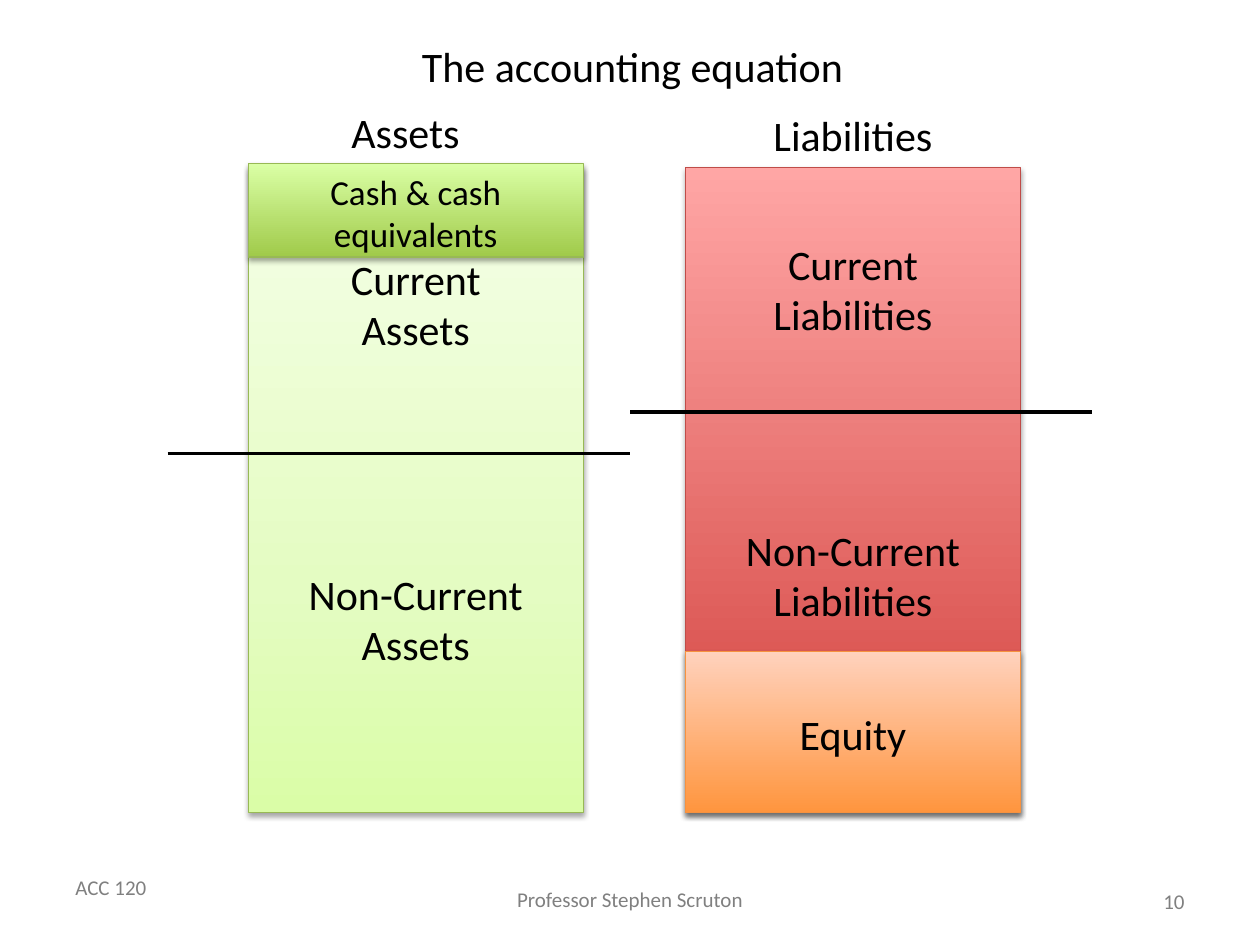
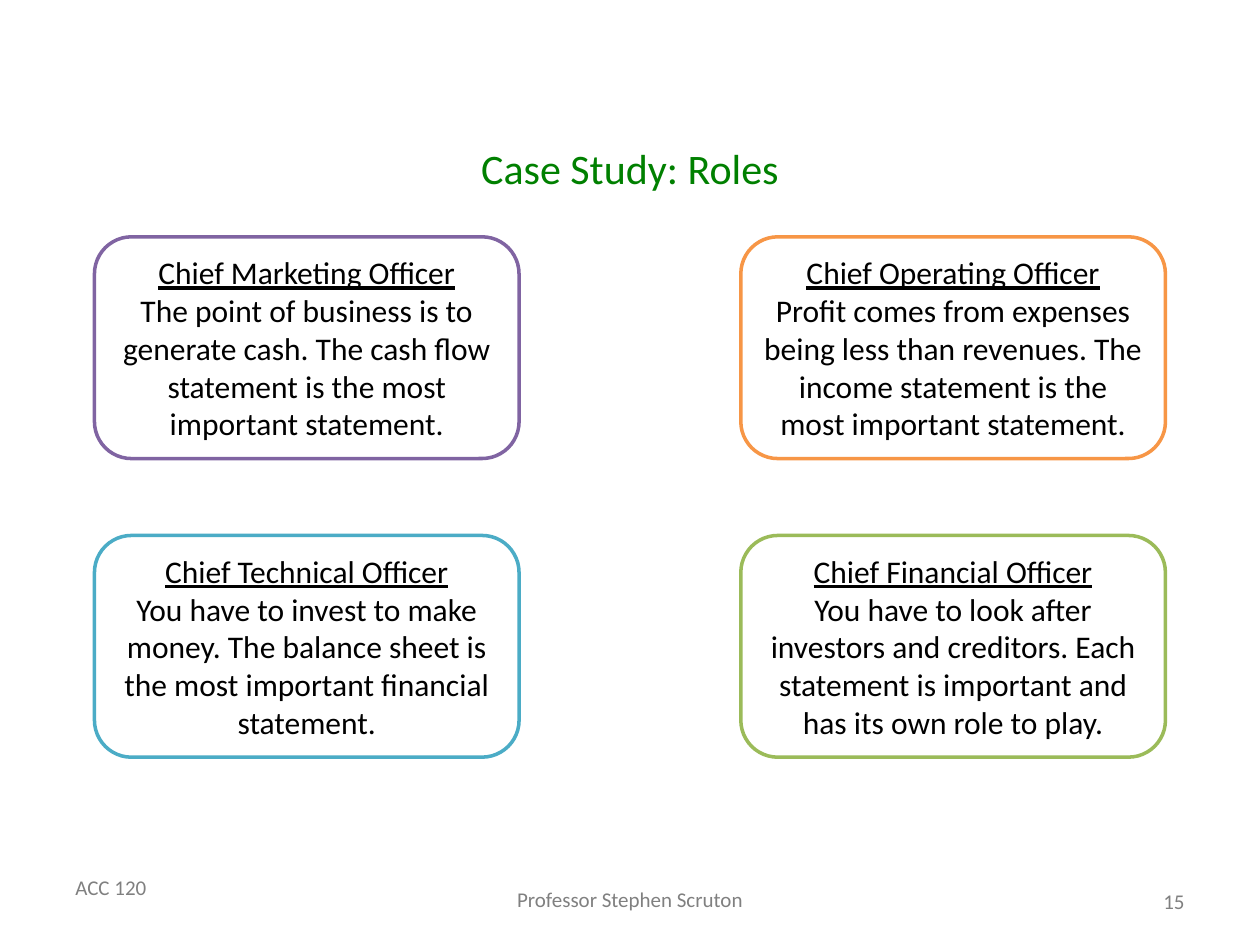
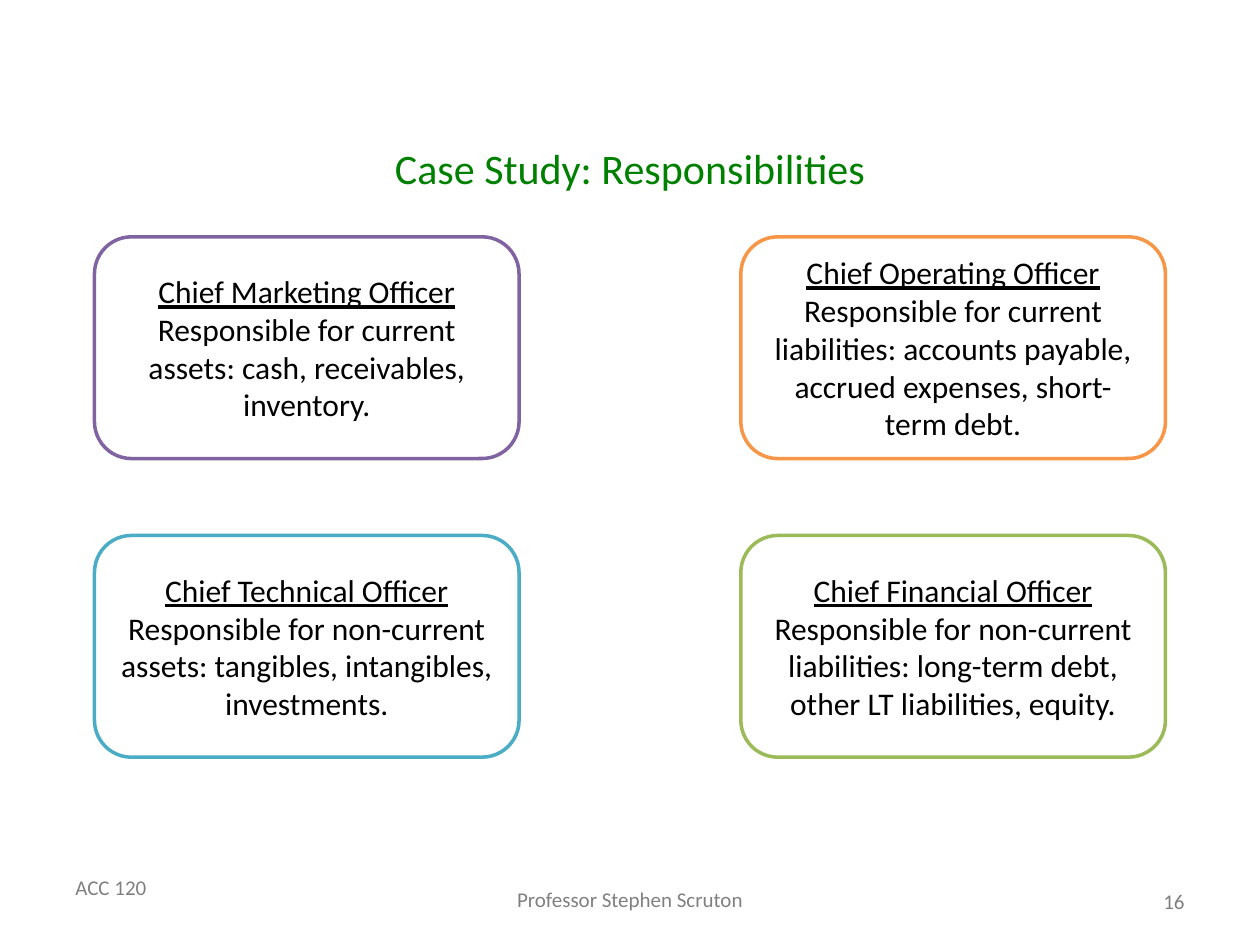
from lxml import etree
from pptx import Presentation
from pptx import util as u
from pptx.dml.color import RGBColor
from pptx.enum import shapes, text
from pptx.oxml import parse_xml
from pptx.oxml.ns import nsdecls, qn

PX = 9144  # 100 px to the inch
FONT = "Calibri"
BLACK = RGBColor(0x00, 0x00, 0x00)
WHITE = RGBColor(0xFF, 0xFF, 0xFF)
GREY = RGBColor(0x80, 0x80, 0x80)
TITLE_GREEN = RGBColor(0x00, 0x80, 0x00)
GREEN_EDGE = RGBColor(0x98, 0xB9, 0x55)
RED_EDGE = RGBColor(0xBF, 0x4C, 0x48)
ORANGE_EDGE = RGBColor(0xF6, 0x92, 0x40)
PURPLE = RGBColor(0x80, 0x64, 0xA2)
TEAL = RGBColor(0x4B, 0xAC, 0xC6)
ORANGE = RGBColor(0xF7, 0x96, 0x46)
GREEN = RGBColor(0x9B, 0xBB, 0x59)
# Gradient stops run from the bottom of the block to its top
PALE_GREENS = [(0, RGBColor(0xDA, 0xFD, 0xA7)), (35, RGBColor(0xE4, 0xFC, 0xC2)),
               (100, RGBColor(0xF5, 0xFF, 0xE7))]
GREENS = [(0, RGBColor(0xA0, 0xCA, 0x4A)), (100, RGBColor(0xDA, 0xFF, 0xA5))]
REDS = [(0, RGBColor(0xD1, 0x40, 0x3C)), (100, RGBColor(0xFF, 0xA6, 0xA5))]
ORANGES = [(0, RGBColor(0xFF, 0x95, 0x3E)), (100, RGBColor(0xFF, 0xD2, 0xBD))]

LEFT, CENTER, RIGHT = text.PP_ALIGN.LEFT, text.PP_ALIGN.CENTER, text.PP_ALIGN.RIGHT
TOP, MIDDLE = text.MSO_ANCHOR.TOP, text.MSO_ANCHOR.MIDDLE

presentation = Presentation()
presentation.slide_width = 1000 * PX
presentation.slide_height = 750 * PX


def write(shape, lines, size=24, color=BLACK, align=CENTER, anchor=MIDDLE, wrap=True):
    frame = shape.text_frame
    frame.text = "\n".join(lines)
    frame.word_wrap = wrap
    frame.vertical_anchor = anchor
    if not wrap:
        frame.auto_size = text.MSO_AUTO_SIZE.SHAPE_TO_FIT_TEXT
    for paragraph in frame.paragraphs:
        paragraph.alignment = align
        font = paragraph.runs[0].font
        font.name, font.size = FONT, u.Pt(size)
        font.color.rgb = color


def add_text(slide, box, lines, **style):
    write(slide.shapes.add_textbox(*[n * PX for n in box]), lines, **style)


# Slides with their shared footers
slides = []
for number in ("10", "15", "16"):
    slide = presentation.slides.add_slide(presentation.slide_layouts[6])
    footer = dict(size=12, color=GREY)
    add_text(slide, (50, 689, 77, 30), ["ACC 120"], align=LEFT, anchor=TOP, wrap=False, **footer)
    add_text(slide, (399, 699, 202, 30), ["Professor Stephen Scruton"], anchor=TOP, wrap=False,
             **footer)
    add_text(slide, (717, 695, 233, 40), [number], align=RIGHT, **footer)
    slides.append(slide)

# The accounting equation: blocks
slide = slides[0]
add_text(slide, (77, 17, 850, 70), ["The accounting equation"])
ASSETS_X, LIABILITIES_X, COLUMN_W = 197, 544, 266
blocks = [
    (LIABILITIES_X, 133, 512, REDS, RED_EDGE),
    (ASSETS_X, 133, 512, PALE_GREENS, GREEN_EDGE),
    (LIABILITIES_X, 517, 128, ORANGES, ORANGE_EDGE),
    (ASSETS_X, 130, 74, GREENS, GREEN_EDGE),
]
for x, y, height, stops, edge in blocks:
    block = slide.shapes.add_shape(shapes.MSO_SHAPE.RECTANGLE,
                                   x * PX, y * PX, COLUMN_W * PX, height * PX)
    block.line.color.rgb = edge
    block.line.width = u.Pt(0.75)
    block.fill.gradient()
    block.fill.gradient_angle = 90
    stop_list = block._element.spPr.find(".//" + qn("a:gsLst"))
    for stop in list(stop_list):
        stop_list.remove(stop)
    for position, color in stops:
        stop = etree.SubElement(stop_list, qn("a:gs"), pos=str(position * 1000))
        etree.SubElement(stop, qn("a:srgbClr"), val=str(color))
    block.shadow.inherit = False
    block._element.spPr.find(qn("a:effectLst")).append(parse_xml(
        f'<a:outerShdw {nsdecls("a")} blurRad="40000" dist="23000" dir="5400000" '
        'rotWithShape="0"><a:srgbClr val="000000"><a:alpha val="35000"/></a:srgbClr>'
        '</a:outerShdw>'))

# Dividers between current and non-current
for x, y in ((133, 360), (500, 327)):
    divider = slide.shapes.add_connector(shapes.MSO_CONNECTOR.STRAIGHT,
                                         x * PX, y * PX, (x + 367) * PX, y * PX)
    divider.line.color.rgb = BLACK
    divider.line.width = u.Pt(2)
    etree.SubElement(divider._element.spPr, qn("a:effectLst"))

# Block labels and column headings
labels = [
    (ASSETS_X, 206, ["Current", "Assets"]),
    (ASSETS_X, 456, ["Non-Current", "Assets"]),
    (LIABILITIES_X, 194, ["Current", "Liabilities"]),
    (LIABILITIES_X, 421, ["Non-Current", "Liabilities"]),
    (LIABILITIES_X, 547, ["Equity"]),
    (LIABILITIES_X, 72, ["Liabilities"]),
]
for x, y, lines in labels:
    add_text(slide, (x, y, COLUMN_W, 70), lines)
add_text(slide, (ASSETS_X, 134, COLUMN_W, 70), ["Cash & cash equivalents"], size=20)
add_text(slide, (269, 80, 107, 50), ["Assets"], align=LEFT, anchor=TOP, wrap=False)

# Case study: four officers on a two by two grid
officers = [("Marketing", PURPLE), ("Operating", ORANGE), ("Technical", TEAL), ("Financial", GREEN)]
case_studies = [
    ("Roles", [
        "The point of business is to generate cash. The cash flow statement is the most "
        "important statement.",
        "Profit comes from expenses being less than revenues. The income statement is the most "
        "important statement.",
        "You have to invest to make money. The balance sheet is the most important financial "
        "statement.",
        "You have to look after investors and creditors. Each statement is important and has "
        "its own role to play.",
    ]),
    ("Responsibilities", [
        "Responsible for current assets: cash, receivables, inventory.",
        "Responsible for current liabilities: accounts payable, accrued expenses, "
        "short-term debt.",
        "Responsible for non-current assets: tangibles, intangibles, investments.",
        "Responsible for non-current liabilities: long-term debt, other LT liabilities, equity.",
    ]),
]
for slide, (topic, statements) in zip(slides[1:], case_studies):
    add_text(slide, (75, 98, 850, 70), [f"Case Study: {topic}"], color=TITLE_GREEN)
    for index, ((role, color), statement) in enumerate(zip(officers, statements)):
        row, column = divmod(index, 2)
        card = slide.shapes.add_shape(shapes.MSO_SHAPE.ROUNDED_RECTANGLE,
                                      (75 + 513 * column) * PX, (188 + 237 * row) * PX,
                                      337 * PX, 176 * PX)
        card.shadow.inherit = False
        card.fill.solid()
        card.fill.fore_color.rgb = WHITE
        card.line.color.rgb = color
        card.line.width = u.Pt(2)
        write(card, [f"Chief {role} Officer", statement], size=18)
        card.text_frame.paragraphs[0].runs[0].font.underline = True

presentation.save("out.pptx")
